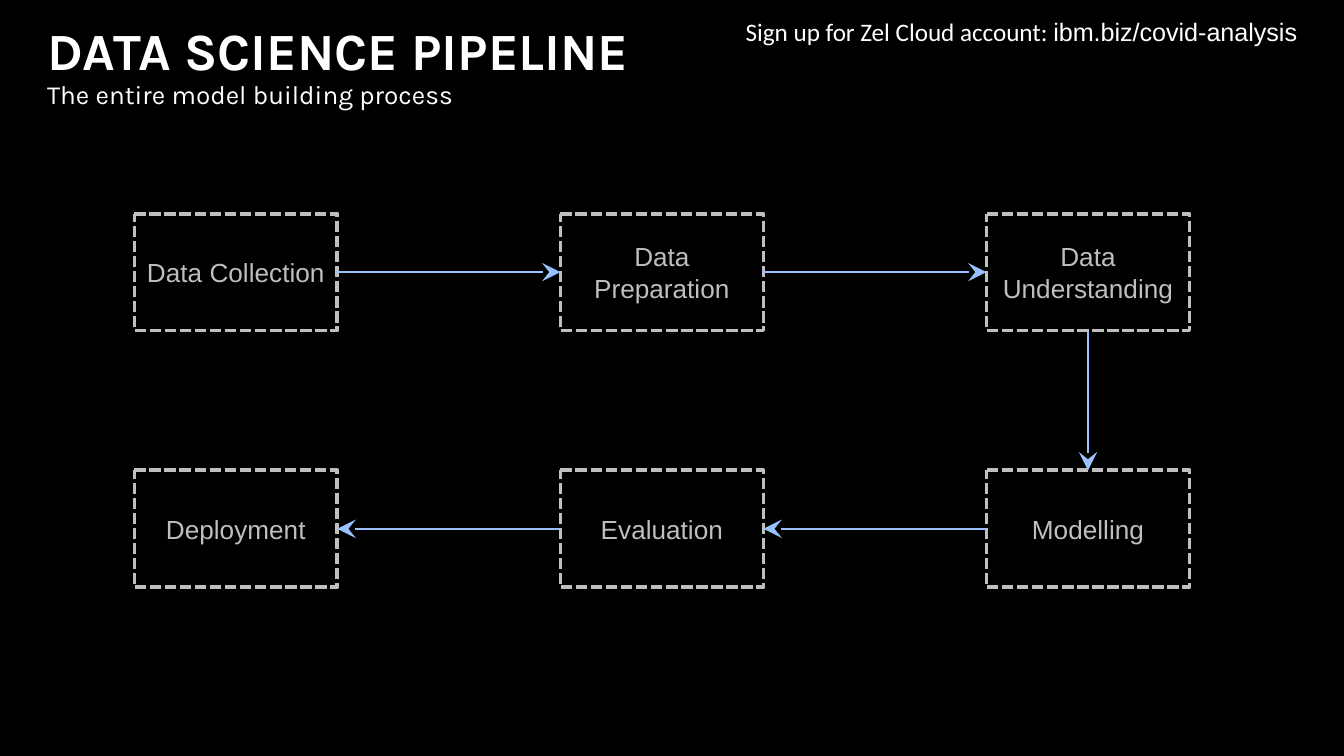
from itertools import pairwise

from lxml.etree import SubElement
from pptx import Presentation
from pptx.dml.color import RGBColor as Rgb
from pptx.enum.dml import MSO_LINE as Dash
from pptx.enum.shapes import MSO_CONNECTOR as Conn, MSO_SHAPE as Shape
from pptx.enum.text import MSO_ANCHOR as Anchor, MSO_AUTO_SIZE as Fit, PP_ALIGN as Align
from pptx.oxml.ns import qn
from pptx.util import Inches, Pt

HUES = {"back": "000000", "head": "FFFFFF", "box": "BFBFBF", "arrow": "99C1FF"}
TOP, LEFT, BOTTOM, RIGHT = range(4)


class Board:
    """Style and current slide; boxes sit on a grid of columns and rows."""

    left, top = 1, 1.59
    step_x, step_y = 3.17, 1.91
    wide, high = 1.51, 0.87

    def __init__(self, deck):
        self.slide = deck.slides.add_slide(deck.slide_layouts[5])
        fill = self.slide.background.fill
        fill.solid()
        fill.fore_color.rgb = self.hue("back")

    def hue(self, name):
        return Rgb.from_string(HUES[name])

    def font(self, font, face, size, hue, bold=False):
        font.name, font.size, font.bold = face, Pt(size), bold
        font.color.rgb = self.hue(hue)

    def inset(self, frame, x, y):
        frame.margin_left = frame.margin_right = Inches(x)
        frame.margin_top = frame.margin_bottom = Inches(y)

    def title(self, head, sub):
        shape = self.slide.shapes.title
        shape.left, shape.top = Inches(0.35), Inches(0.19)
        shape.width, shape.height = Inches(9.19), Inches(0.77)
        frame = shape.text_frame
        frame.auto_size, frame.vertical_anchor = Fit.NONE, Anchor.TOP
        self.inset(frame, 0, 0)
        frame.text = f"{head}\n{sub}"
        for para, size, bold in zip(frame.paragraphs, (28, 14), (True, False)):
            para.alignment, para.line_spacing = Align.LEFT, 0.9
            self.font(para.font, "Karla", size, "head", bold)

    def note(self, *parts):
        area = map(Inches, (5.45, 0.07, 4.62, 0.56))
        frame = self.slide.shapes.add_textbox(*area).text_frame
        frame.word_wrap = True
        for text, face in parts:
            run = frame.paragraphs[0].add_run()
            run.text = text
            self.font(run.font, face, 13.5, "head")

    def box(self, text, col, row):
        x, y = self.left + col * self.step_x, self.top + row * self.step_y
        area = map(Inches, (x, y, self.wide, self.high))
        shape = self.slide.shapes.add_shape(Shape.ROUNDED_RECTANGLE, *area)
        shape.adjustments[0] = 0
        shape.shadow.inherit = False
        shape.fill.background()
        shape.line.color.rgb = self.hue("box")
        shape.line.width, shape.line.dash_style = Pt(2), Dash.SQUARE_DOT
        frame = shape.text_frame
        frame.word_wrap, frame.vertical_anchor = True, Anchor.MIDDLE
        self.inset(frame, 0.04, 0.02)
        frame.text = text
        para = frame.paragraphs[0]
        para.alignment = Align.CENTER
        self.font(para.font, "Arial", 14, "box")
        return shape

    def arrow(self, start, end, out, into):
        line = self.slide.shapes.add_connector(Conn.STRAIGHT, 0, 0, 0, 0)
        line.begin_connect(start, out)
        line.end_connect(end, into)
        line.line.color.rgb = self.hue("arrow")
        line.line.width = Pt(1)
        props = line._element.spPr
        SubElement(props.get_or_add_ln(), qn("a:tailEnd"),
                   type="stealth", w="lg", len="lg")
        SubElement(props, qn("a:effectLst"))


def main():
    # Wide 16:9 page
    deck = Presentation()
    deck.slide_width = Inches(10)
    deck.slide_height = deck.slide_width * 9 // 16
    board = Board(deck)

    # Heading and sign-up line
    board.title("DATA SCIENCE PIPELINE", "The entire model building process")
    board.note(("Sign up for Zel Cloud account: ", "Calibri"),
               ("ibm.biz/covid-analysis", "Arial"))

    # Steps run right along the first row, then back along the second
    steps = [
        ("Data Collection", 0, 0), ("Data Preparation", 1, 0),
        ("Data Understanding", 2, 0), ("Modelling", 2, 1),
        ("Evaluation", 1, 1), ("Deployment", 0, 1),
    ]
    boxes = [board.box(*step) for step in steps]

    # Arrows between neighbours
    sides = [(RIGHT, LEFT)] * 2 + [(BOTTOM, TOP)] + [(LEFT, RIGHT)] * 2
    for (start, end), (out, into) in zip(pairwise(boxes), sides):
        board.arrow(start, end, out, into)

    deck.save("out.pptx")


if __name__ == "__main__":
    main()
